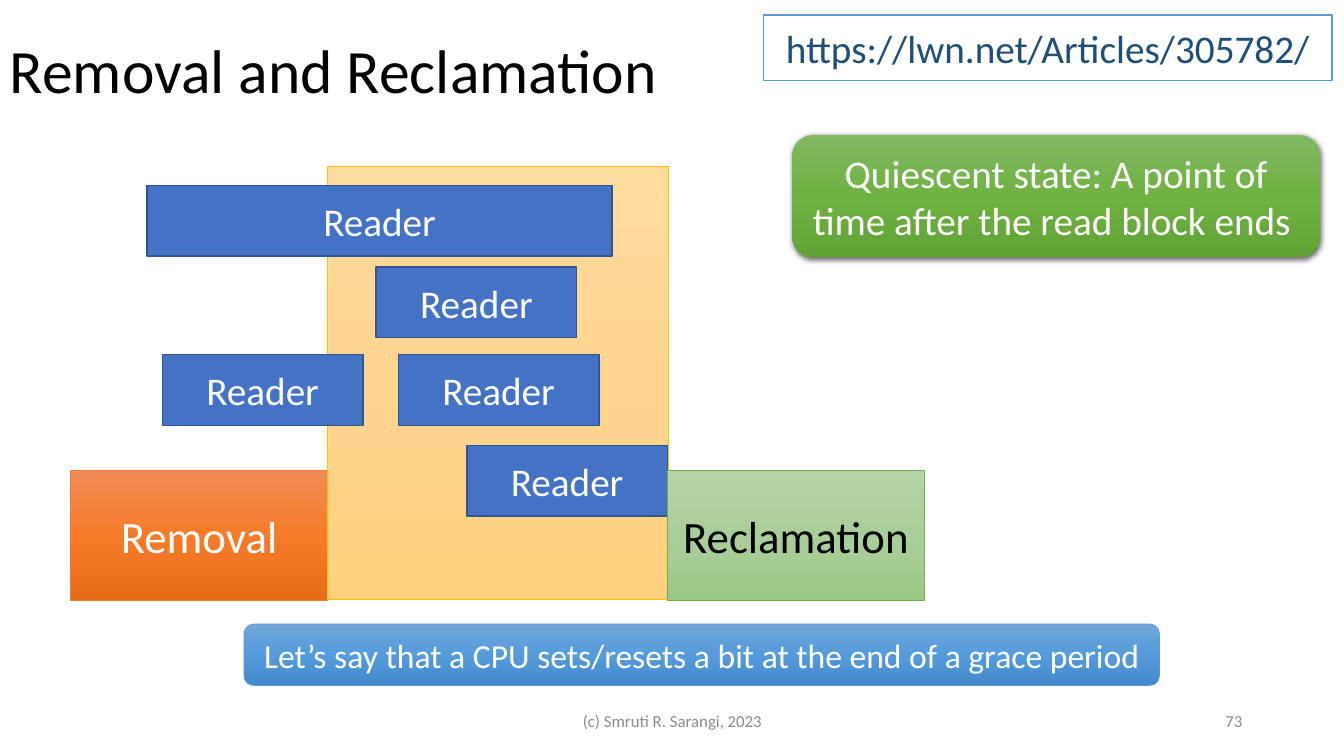
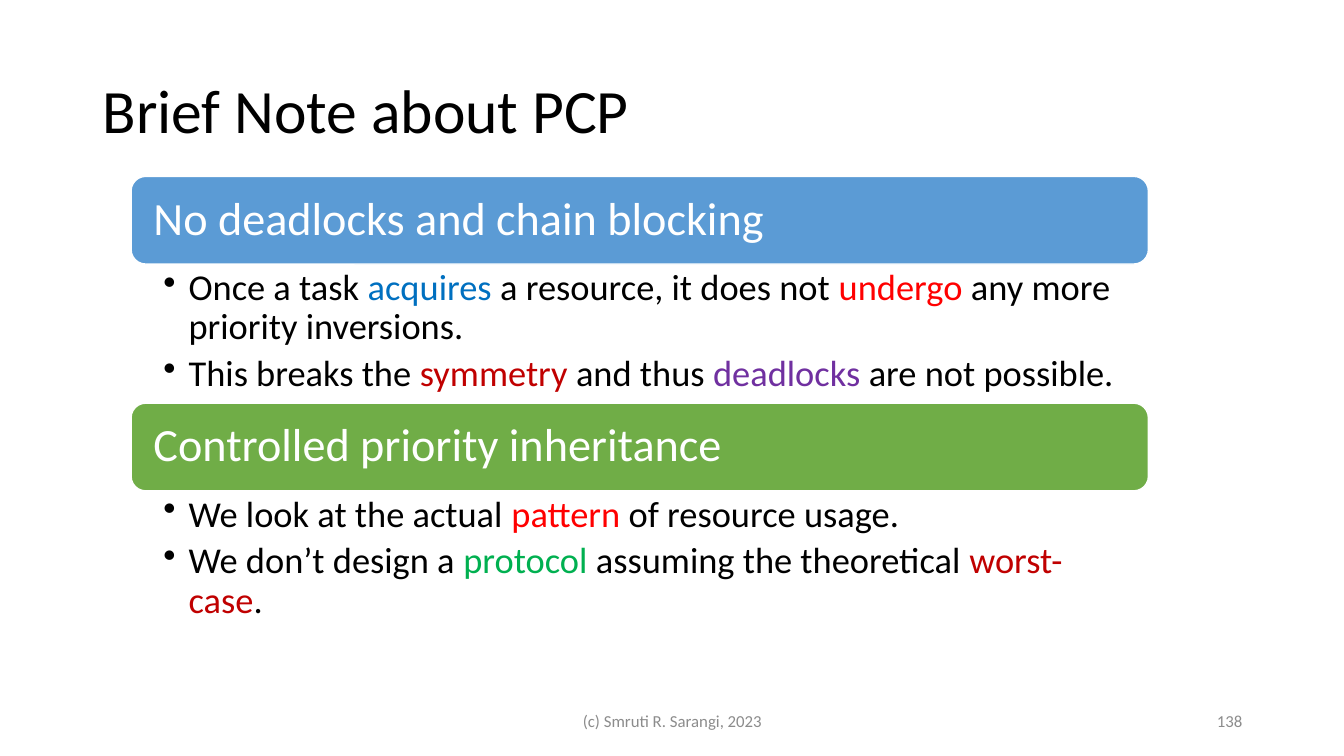
import copy

import pptx
import pptx.dml.color
import pptx.enum.shapes
import pptx.enum.text
import pptx.oxml
import pptx.oxml.ns
import pptx.util

Inches = pptx.util.Inches
Pt = pptx.util.Pt
ALIGN = pptx.enum.text.PP_ALIGN
ANCHOR = pptx.enum.text.MSO_ANCHOR
SHAPE = pptx.enum.shapes.MSO_SHAPE

FONT = "Calibri"
BLACK, WHITE, GREY = "000000", "FFFFFF", "8C8C8C"
BLUE, GREEN, RED, DARK_RED = "5B9BD5", "70AD47", "FF0000", "C00000"
READER_FILL, READER_LINE = "4472C4", "325491"
FOOTER = "(c) Smruti R. Sarangi, 2023"
DEFAULT_INSETS = (0.1, 0.05, 0.1, 0.05)

# Slide 1: the phases run left to right along a common time axis
PHASE_TOP, PHASE_WIDTH, PHASE_HEIGHT = 4.67, 2.55, 1.29
REMOVAL_LEFT, GRACE_LEFT, RECLAMATION_LEFT = 0.7, 3.25, 6.62
READER_WIDTH, READER_HEIGHT = 1.99, 0.7
READERS = [  # left, top, width
    (1.61, 3.52, READER_WIDTH),
    (3.73, 2.65, READER_WIDTH),
    (3.95, 3.52, READER_WIDTH),
    (1.46, 1.84, 4.61),
    (4.63, 4.42, READER_WIDTH),
]
ORANGE_GRADIENT = ("F18C57", "F67B28", "E56C19")
YELLOW_GRADIENT = ("FFDB9E", "FFD590", "FFD07C")
PALE_GREEN_GRADIENT = ("B5D5A7", "AACE9A", "9CC987")
GREEN_GRADIENT = ("81B861", "6FB242", "62A336")
BLUE_GRADIENT = ("71A6DB", "559BDB", "448ACA")

# Slide 2: each section is a heading bar with bullets made of (text, colour) runs
SECTIONS = [
    ("No deadlocks and chain blocking", BLUE, [
        [("Once a task ", BLACK), ("acquires", "0070C0"),
         (" a resource, it does not ", BLACK), ("undergo", RED),
         (" any more priority inversions.", BLACK)],
        [("This breaks the ", BLACK), ("symmetry", DARK_RED),
         (" and thus ", BLACK), ("deadlocks", "7030A0"),
         (" are not possible.", BLACK)],
    ]),
    ("Controlled priority inheritance", GREEN, [
        [("We look at the actual ", BLACK), ("pattern", RED),
         (" of resource usage.", BLACK)],
        [("We don’t design a ", BLACK), ("protocol", "00B050"),
         (" assuming the theoretical ", BLACK), ("worst-case", DARK_RED),
         (".", BLACK)],
    ]),
]
SECTION_LEFT, SECTION_TOP, SECTION_WIDTH = 1.3, 1.75, 10.09
HEADING_HEIGHT, BULLETS_HEIGHT = 0.87, 1.38


def color(hex_text):
    return pptx.dml.color.RGBColor.from_string(hex_text)


def add_runs(paragraph, runs, size):
    for text, text_color in runs:
        run = paragraph.add_run()
        run.text = text
        run.font.name = FONT
        run.font.size = Pt(size)
        run.font.color.rgb = color(text_color)


def prepare_frame(shape, anchor, insets=DEFAULT_INSETS):
    frame = shape.text_frame
    frame.word_wrap = True
    frame.vertical_anchor = anchor
    (frame.margin_left, frame.margin_top,
     frame.margin_right, frame.margin_bottom) = map(Inches, insets)
    return frame


def add_text(slide, box, text, size, text_color, align=ALIGN.LEFT, line_spacing=1.0):
    text_box = slide.shapes.add_textbox(*map(Inches, box))
    paragraph = prepare_frame(text_box, ANCHOR.MIDDLE).paragraphs[0]
    paragraph.alignment = align
    paragraph.line_spacing = line_spacing
    add_runs(paragraph, [(text, text_color)], size)


def fill_gradient(shape, colors):
    """Fill from top to bottom with three evenly spaced colours."""
    shape.fill.gradient()
    shape.fill.gradient_angle = 270
    stop_list = shape.element.spPr.find(".//" + pptx.oxml.ns.qn("a:gsLst"))
    stop_list.insert(1, copy.deepcopy(stop_list[0]))
    for stop, position, stop_color in zip(shape.fill.gradient_stops, (0, 0.5, 1), colors):
        stop.position = position
        stop.color.rgb = color(stop_color)


def add_block(slide, kind, box, fill, line=None, line_width=1.0,
              text="", size=28, text_color=WHITE):
    """Add a shape with centred text; fill is one colour or three gradient colours."""
    shape = slide.shapes.add_shape(kind, *map(Inches, box))
    shape.shadow.inherit = False
    if isinstance(fill, tuple):
        fill_gradient(shape, fill)
    else:
        shape.fill.solid()
        shape.fill.fore_color.rgb = color(fill)
    if line:
        shape.line.color.rgb = color(line)
        shape.line.width = Pt(line_width)
    else:
        shape.line.fill.background()
    if text:
        paragraph = prepare_frame(shape, ANCHOR.MIDDLE).paragraphs[0]
        paragraph.alignment = ALIGN.CENTER
        add_runs(paragraph, [(text, text_color)], size)
    return shape


def add_soft_shadow(shape):
    effects = shape.element.spPr.find(pptx.oxml.ns.qn("a:effectLst"))
    effects.append(pptx.oxml.parse_xml(
        f'<a:outerShdw {pptx.oxml.ns.nsdecls("a")} blurRad="{Pt(4.5)}" dist="{Pt(1.5)}" '
        'dir="5400000" algn="ctr" rotWithShape="0">'
        f'<a:srgbClr val="{BLACK}"><a:alpha val="63000"/></a:srgbClr></a:outerShdw>'))


def add_bullet(paragraph):
    properties = paragraph._p.get_or_add_pPr()
    properties.set("marL", str(Inches(0.25)))
    properties.set("indent", str(-Inches(0.25)))
    properties.append(pptx.oxml.parse_xml(
        f'<a:buChar {pptx.oxml.ns.nsdecls("a")} char="•"/>'))


def add_slide(presentation, title, title_left, title_top, number):
    slide = presentation.slides.add_slide(presentation.slide_layouts[6])
    add_text(slide, (title_left, title_top, 11.5, 1.45), title, 44, BLACK, line_spacing=0.9)
    add_text(slide, (4.42, 6.95, 4.5, 0.4), FOOTER, 12, GREY, ALIGN.CENTER)
    add_text(slide, (9.42, 6.95, 3, 0.4), str(number), 12, GREY, ALIGN.RIGHT)
    return slide


def build_reclamation_slide(presentation):
    slide = add_slide(presentation, "Removal and Reclamation", 0, 0, 73)
    add_block(slide, SHAPE.RECTANGLE, (7.57, 0.15, 5.64, 0.65), WHITE, BLUE,
              text="https://lwn.net/Articles/305782/", text_color="1F4E79")
    add_block(slide, SHAPE.RECTANGLE,
              (REMOVAL_LEFT, PHASE_TOP, PHASE_WIDTH, PHASE_HEIGHT),
              ORANGE_GRADIENT, "ED7D31", 0.5, "Removal", 32)
    add_block(slide, SHAPE.RECTANGLE, (GRACE_LEFT, 1.65, 3.38, 4.3),
              YELLOW_GRADIENT, "FFC000", 0.5)
    for left, top, width in READERS:
        add_block(slide, SHAPE.RECTANGLE, (left, top, width, READER_HEIGHT),
                  READER_FILL, READER_LINE, text="Reader")
    add_block(slide, SHAPE.RECTANGLE,
              (RECLAMATION_LEFT, PHASE_TOP, PHASE_WIDTH, PHASE_HEIGHT),
              PALE_GREEN_GRADIENT, GREEN, 0.5, "Reclamation", 32, BLACK)
    quiescent_note = add_block(
        slide, SHAPE.ROUNDED_RECTANGLE, (7.86, 1.34, 5.23, 1.21), GREEN_GRADIENT,
        text="Quiescent state: A point of time after the read block ends ")
    add_soft_shadow(quiescent_note)
    add_block(slide, SHAPE.ROUNDED_RECTANGLE, (2.42, 6.19, 9.08, 0.61),
              BLUE_GRADIENT, BLUE, 0.5,
              "Let’s say that a CPU sets/resets a bit at the end of a grace period", 24)


def add_section(slide, top, heading, fill, bullets):
    bar = add_block(slide, SHAPE.ROUNDED_RECTANGLE,
                    (SECTION_LEFT, top, SECTION_WIDTH, HEADING_HEIGHT), fill, WHITE)
    frame = prepare_frame(bar, ANCHOR.MIDDLE, (0.18, 0.14, 0.18, 0.14))
    paragraph = frame.paragraphs[0]
    paragraph.alignment = ALIGN.LEFT
    paragraph.line_spacing = 0.9
    add_runs(paragraph, [(heading, WHITE)], 33)

    body = slide.shapes.add_textbox(*map(Inches, (
        SECTION_LEFT, top + HEADING_HEIGHT, SECTION_WIDTH, BULLETS_HEIGHT)))
    frame = prepare_frame(body, ANCHOR.TOP, (0.32, 0.05, 0.26, 0.05))
    for index, runs in enumerate(bullets):
        paragraph = frame.add_paragraph() if index else frame.paragraphs[0]
        add_bullet(paragraph)
        paragraph.line_spacing = 0.9
        paragraph.space_after = Pt(5.2)
        add_runs(paragraph, runs, 26)


def build_protocol_slide(presentation):
    slide = add_slide(presentation, "Brief Note about PCP", 0.92, 0.4, 138)
    for index, section in enumerate(SECTIONS):
        top = SECTION_TOP + index * (HEADING_HEIGHT + BULLETS_HEIGHT)
        add_section(slide, top, *section)


def main():
    presentation = pptx.Presentation()
    presentation.slide_width = Inches(13.33)
    presentation.slide_height = Inches(7.5)
    build_reclamation_slide(presentation)
    build_protocol_slide(presentation)
    presentation.save("out.pptx")


if __name__ == "__main__":
    main()
